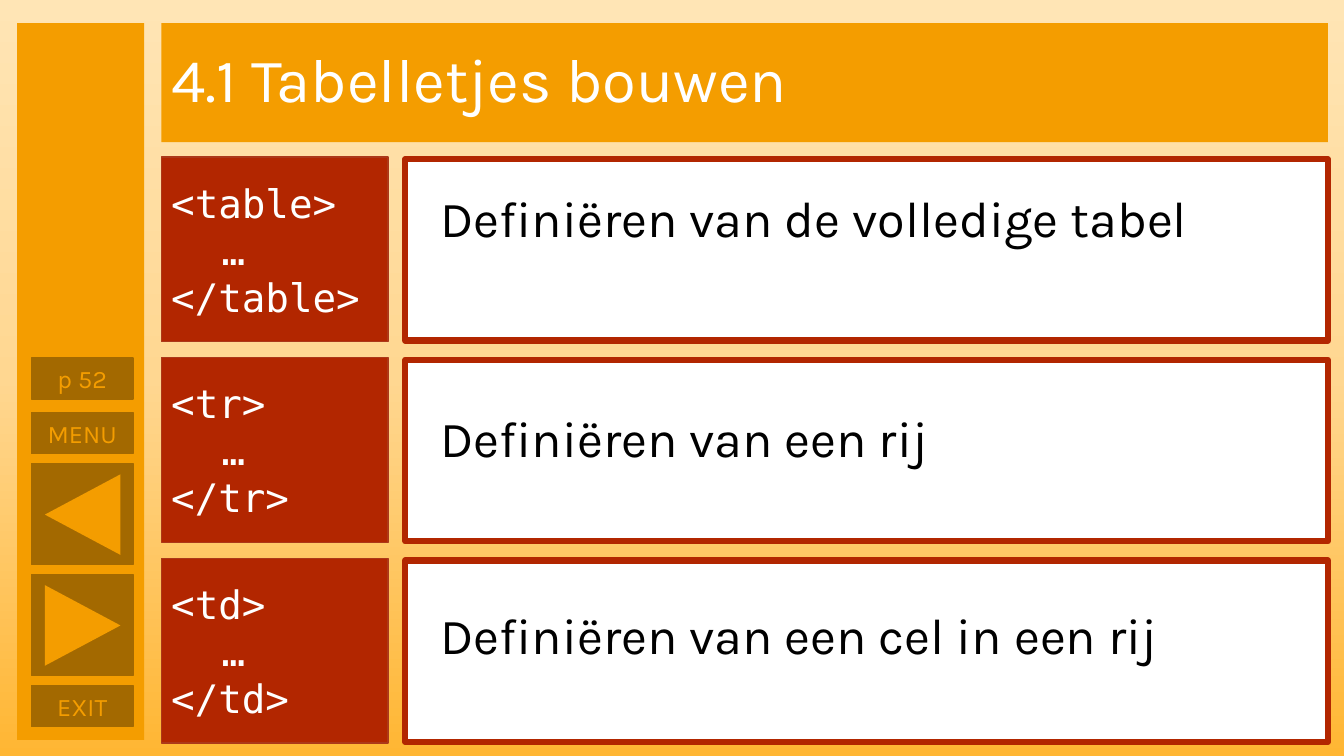
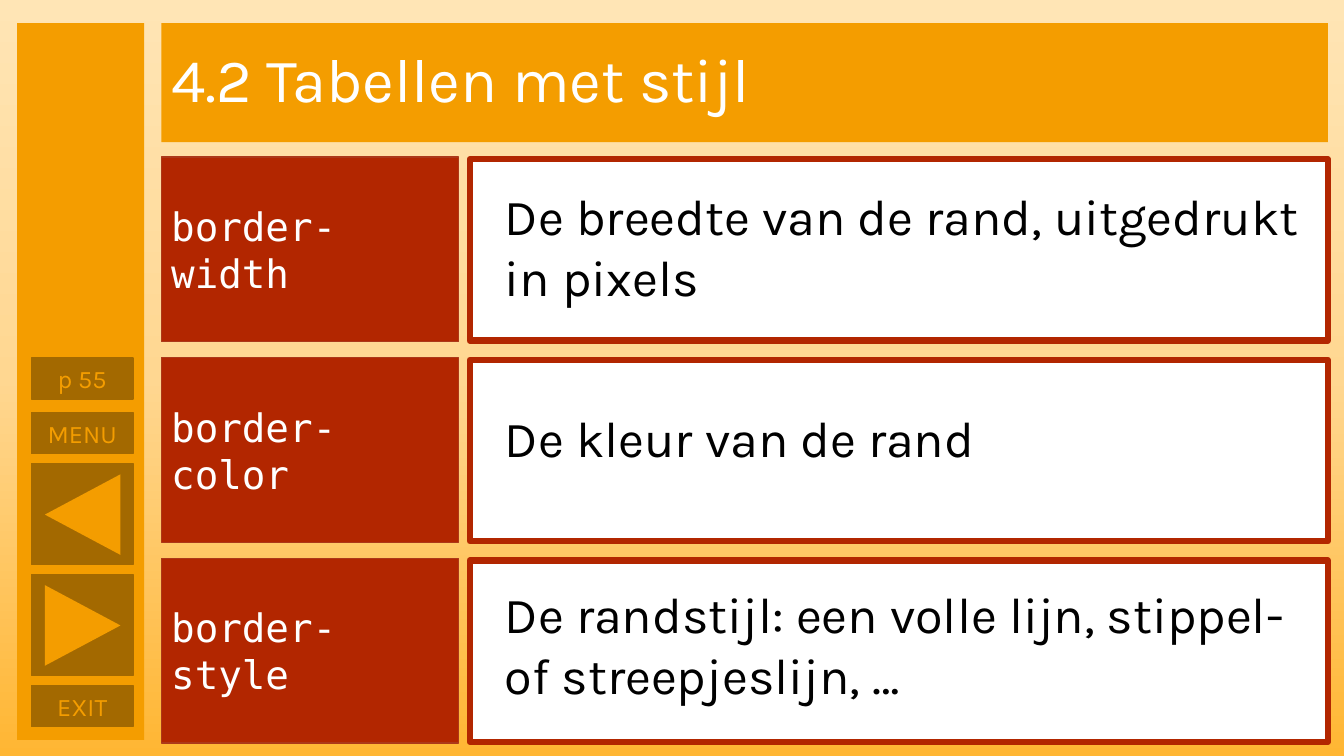
from copy import deepcopy

from pptx import Presentation
from pptx.dml.color import RGBColor
from pptx.enum.shapes import MSO_SHAPE
from pptx.enum.text import MSO_ANCHOR, MSO_AUTO_SIZE, PP_ALIGN
from pptx.oxml.ns import qn
from pptx.util import Inches, Pt

ORANGE = RGBColor(0xF4, 0x9D, 0x00)
BROWN = RGBColor(0xA3, 0x69, 0x00)
RED = RGBColor(0xB2, 0x26, 0x00)
RED_EDGE = RGBColor(0xAC, 0x38, 0x19)
WHITE = RGBColor(0xFF, 0xFF, 0xFF)
BLACK = RGBColor(0x00, 0x00, 0x00)
BACKGROUND = [
    (0, RGBColor(0xFF, 0xE5, 0xB5)),
    (0.5, RGBColor(0xFF, 0xD7, 0x91)),
    (1, RGBColor(0xFF, 0xB6, 0x33)),
]
BODY_FONT = "Karla"
CODE_FONT = "DejaVu Sans Mono"

WIDTH, HEIGHT = 13.33, 7.5
TOP, LEFT, RIGHT = 0.23, 1.6, 13.17
ROW_TOP, ROW_PITCH, ROW_HEIGHT = 1.56, 1.99, 1.83
FRAME_HEIGHT, FRAME_INSET = 1.8, 0.02
TEXT_INDENT = 0.25
LINE_HEIGHT, TEXT_MARGINS = 0.6, 0.11
BUTTON_LEFT, BUTTON_WIDTH = 0.31, 1.01
ARROW_WIDTH, ARROW_HEIGHT = 0.8, 0.75

ARROW_BUTTONS = [(4.6, 270), (5.7, 90)]

# Each row: label lines as (text, level), explanation, its line count, its top.
SLIDES = [
    {
        "title": "4.1 Tabelletjes bouwen",
        "page": "p 52",
        "label_width": 2.25,
        "frame_left": 4.02,
        "rows": [
            ([("<table>", 0), ("…", 1), ("</table>", 0)],
             "Definiëren van de volledige tabel", 1, 1.81),
            ([("<tr>", 0), ("…", 1), ("</tr>", 0)],
             "Definiëren van een rij", 1, 3.99),
            ([("<td>", 0), ("…", 1), ("</td>", 0)],
             "Definiëren van een cel in een rij", 1, 5.94),
        ],
    },
    {
        "title": "4.2 Tabellen met stijl",
        "page": "p 55",
        "label_width": 2.95,
        "frame_left": 4.66,
        "rows": [
            ([("border-width", 0)],
             "De breedte van de rand, uitgedrukt in pixels", 2, 1.79),
            ([("border-color", 0)], "De kleur van de rand", 1, 3.99),
            ([("border-style", 0)],
             "De randstijl: een volle lijn, stippel- of streepjeslijn, …", 2, 5.74),
        ],
    },
]


def paint_background(slide):
    fill = slide.background.fill
    fill.gradient()
    fill.gradient_angle = 270
    stop_list = slide.element.find(".//" + qn("a:gsLst"))
    stop_list.append(deepcopy(stop_list[-1]))
    for stop, (position, color) in zip(fill.gradient_stops, BACKGROUND):
        stop.position = position
        stop.color.rgb = color


def add_box(slide, box, fill, line=None, line_width=1, preset=MSO_SHAPE.RECTANGLE):
    shape = slide.shapes.add_shape(preset, *map(Inches, box))
    shape.shadow.inherit = False
    shape.fill.solid()
    shape.fill.fore_color.rgb = fill
    if line is None:
        shape.line.fill.background()
    else:
        shape.line.color.rgb = line
        shape.line.width = Pt(line_width)
    return shape


def write(shape, lines, size, color, font=BODY_FONT, align=PP_ALIGN.LEFT,
          anchor=MSO_ANCHOR.MIDDLE, spacing=None):
    frame = shape.text_frame
    frame.word_wrap = True
    frame.vertical_anchor = anchor
    for index, (text, level) in enumerate(lines):
        paragraph = frame.paragraphs[0] if index == 0 else frame.add_paragraph()
        paragraph.text = text
        paragraph.alignment = align
        paragraph.line_spacing = spacing
        paragraph.font.name = font
        paragraph.font.size = Pt(size)
        paragraph.font.color.rgb = color
        if level:
            paragraph.level = level
            properties = paragraph._p.get_or_add_pPr()
            properties.set("marL", str(Inches(0.5 * level)))
            properties.set("indent", "0")


def add_navigation(slide, page):
    add_box(slide, (0.17, TOP, 1.26, 7.11), ORANGE)
    for text, top in [(page, 3.55), ("MENU", 4.09), ("EXIT", 6.8)]:
        button = add_box(slide, (BUTTON_LEFT, top, BUTTON_WIDTH, 0.41), BROWN, BROWN)
        write(button, [(text, 0)], 18, ORANGE, align=PP_ALIGN.CENTER)
    for top, rotation in ARROW_BUTTONS:
        add_box(slide, (BUTTON_LEFT, top, BUTTON_WIDTH, 1), BROWN, BROWN)
        arrow = add_box(slide, (0.42, top + 0.13, ARROW_WIDTH, ARROW_HEIGHT), ORANGE,
                        preset=MSO_SHAPE.ISOSCELES_TRIANGLE)
        arrow.rotation = rotation


def add_row(slide, index, row, label_width, frame_left):
    label_lines, explanation, line_count, text_top = row
    top = ROW_TOP + index * ROW_PITCH
    label = add_box(slide, (LEFT, top, label_width, ROW_HEIGHT), RED, RED_EDGE)
    write(label, label_lines, 28, WHITE, font=CODE_FONT)
    add_box(slide, (frame_left, top + FRAME_INSET, RIGHT - frame_left, FRAME_HEIGHT),
            WHITE, RED, 4.5)
    text_left = frame_left + TEXT_INDENT
    text_height = line_count * LINE_HEIGHT + TEXT_MARGINS
    text_box = slide.shapes.add_textbox(
        *map(Inches, (text_left, text_top, RIGHT - text_left, text_height)))
    write(text_box, [(explanation, 0)], 36, BLACK, anchor=MSO_ANCHOR.TOP)
    text_box.text_frame.auto_size = MSO_AUTO_SIZE.SHAPE_TO_FIT_TEXT


def build_slide(presentation, content):
    slide = presentation.slides.add_slide(presentation.slide_layouts[6])
    paint_background(slide)
    title = add_box(slide, (LEFT, TOP, RIGHT - LEFT, 1.18), ORANGE)
    write(title, [(content["title"], 0)], 44, WHITE, spacing=0.9)
    add_navigation(slide, content["page"])
    for index, row in enumerate(content["rows"]):
        add_row(slide, index, row, content["label_width"], content["frame_left"])


def main():
    presentation = Presentation()
    presentation.slide_width = Inches(WIDTH)
    presentation.slide_height = Inches(HEIGHT)
    for content in SLIDES:
        build_slide(presentation, content)
    presentation.save("out.pptx")


if __name__ == "__main__":
    main()
